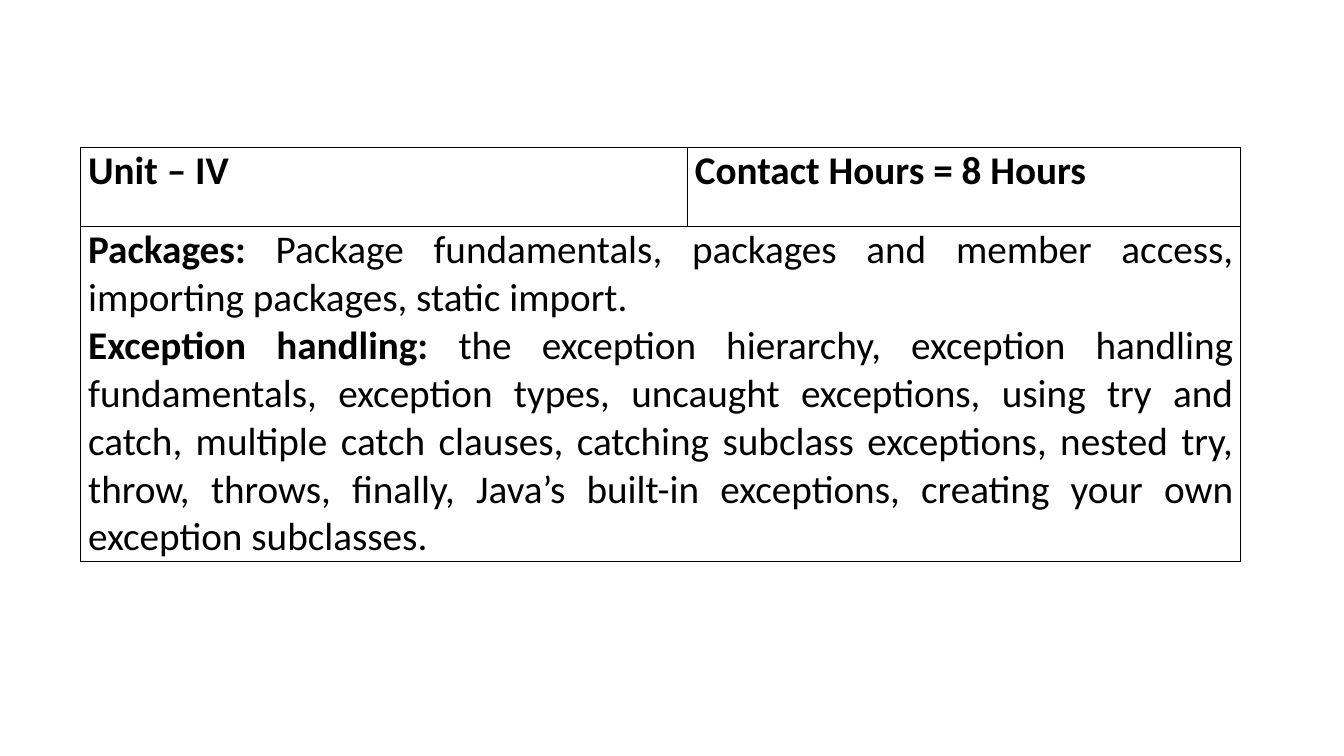
from lxml import etree
from pptx import Presentation
from pptx.dml.color import RGBColor
from pptx.enum import text
from pptx.oxml import ns
from pptx.util import Pt

COLORS = {"ink": "000000", "paper": "FFFFFF"}
FONT = {"name": "Calibri", "size": Pt(28)}
CELL = {"margin_left": Pt(5.4), "margin_right": Pt(5.4),
        "margin_top": 0, "margin_bottom": 0}
FLAGS = {"first_row": False, "horz_banding": False}

# Each paragraph is a bold lead and a regular remainder.
HEADINGS = ["Unit – IV", "Contact Hours = 8 Hours"]
TOPICS = [
    ("Packages: ",
     "Package fundamentals, packages and member access, importing packages, "
     "static import."),
    ("Exception handling: ",
     "the exception hierarchy, exception handling fundamentals, exception "
     "types, uncaught exceptions, using try and catch, multiple catch "
     "clauses, catching subclass exceptions, nested try, throw, throws, "
     "finally, Java’s built-in exceptions, creating your own exception "
     "subclasses."),
]


def set_all(target, values):
    for name, value in values.items():
        setattr(target, name, value)


def add_borders(cell, width=Pt(1)):
    tc_pr = cell._tc.get_or_add_tcPr()
    for side in ("lnL", "lnR", "lnT", "lnB"):
        ln = etree.SubElement(tc_pr, ns.qn(f"a:{side}"), w=str(int(width)))
        fill = etree.SubElement(ln, ns.qn("a:solidFill"))
        etree.SubElement(fill, ns.qn("a:srgbClr"), val=COLORS["ink"])


def style_cell(cell):
    set_all(cell, CELL)
    add_borders(cell)
    cell.fill.solid()
    cell.fill.fore_color.rgb = RGBColor.from_string(COLORS["paper"])


def write_cell(cell, paragraphs):
    """Fill a cell with justified (bold lead, regular remainder) paragraphs."""
    tf = cell.text_frame
    for i, parts in enumerate(paragraphs):
        p = tf.add_paragraph() if i else tf.paragraphs[0]
        p.alignment = text.PP_ALIGN.JUSTIFY
        for part, bold in zip(parts, (True, False)):
            r = p.add_run()
            r.text = part
            set_all(r.font, {**FONT, "bold": bold})
            r.font.color.rgb = RGBColor.from_string(COLORS["ink"])


def add_unit_table(s, left, top, width, height):
    """Draw a row of headings above one full-width cell of topics."""
    table = s.shapes.add_table(2, 2, left, top, width, height).table
    set_all(table, FLAGS)
    first_col, first_row = Pt(433.4), Pt(56.2)
    table.columns[0].width, table.columns[1].width = first_col, width - first_col
    table.rows[0].height, table.rows[1].height = first_row, height - first_row

    for cell in table.iter_cells():
        style_cell(cell)
    table.cell(1, 0).merge(table.cell(1, 1))
    for col, heading in enumerate(HEADINGS):
        write_cell(table.cell(0, col), [(heading,)])
    write_cell(table.cell(1, 0), TOPICS)


def main():
    prs = Presentation()
    set_all(prs, {"slide_width": Pt(960), "slide_height": Pt(540)})
    s = prs.slides.add_slide(prs.slide_layouts[6])
    add_unit_table(s, Pt(57.6), Pt(105.4), Pt(828.7), Pt(293))
    prs.save("out.pptx")


if __name__ == "__main__":
    main()
